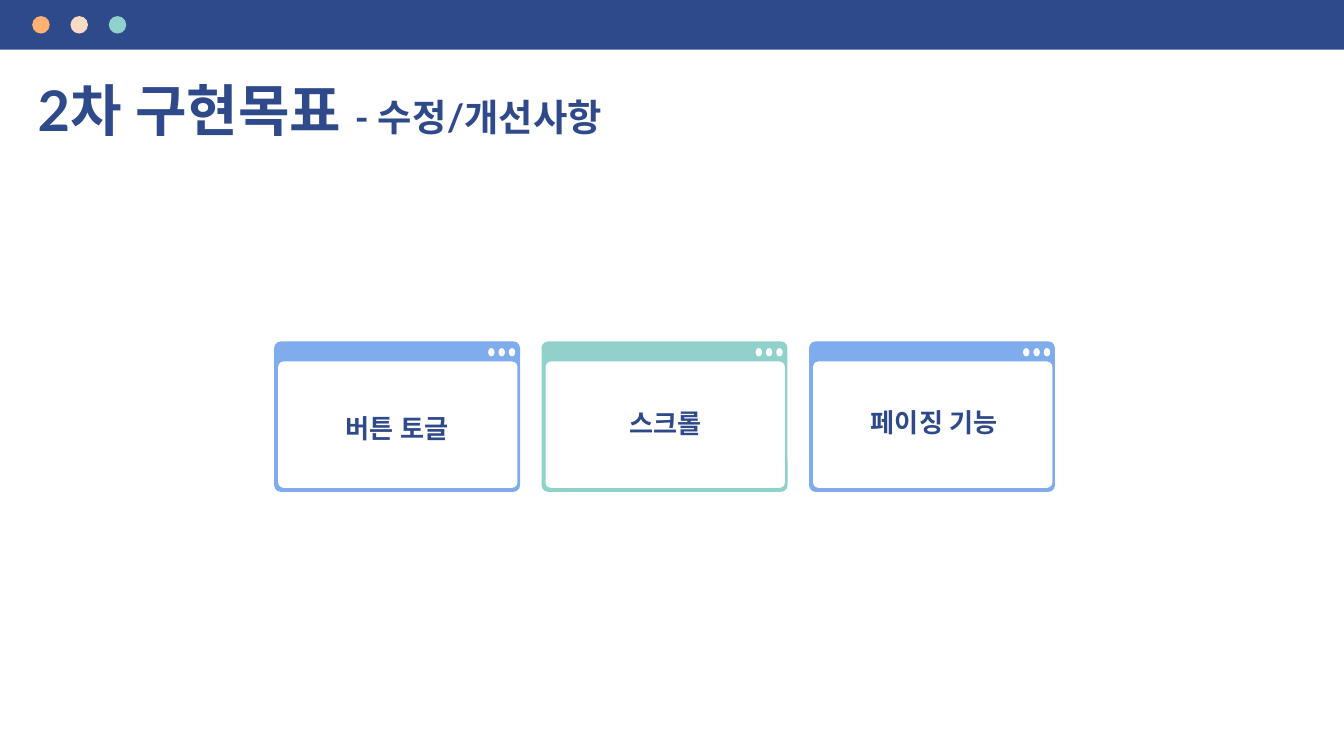
from collections import namedtuple

from lxml.etree import SubElement
from pptx import Presentation
from pptx.dml.color import RGBColor
from pptx.enum.shapes import MSO_SHAPE as Shape
from pptx.enum.text import MSO_ANCHOR as Anchor, MSO_AUTO_SIZE as AutoSize, PP_ALIGN as Align
from pptx.oxml.ns import qn
from pptx.util import Inches, Pt

Box = namedtuple("Box", "left top width height")

COLORS = {
    "navy": "2F4A8A",
    "orange": "FFB172",
    "cream": "F8DBC4",
    "mint": "90D1CB",
    "blue": "7EACEC",
    "white": "FFFFFF",
}
FONT = "Lato"
SLIDE = Box(0, 0, 10, 10 * 9 / 16)
WINDOWS = Box(2.04, 2.54, 5.81, 1.12)
WINDOW_WIDTH = 1.83
CARDS = [
    ("버튼 토글", "blue", Box(0, 0.38, 1, 0.46)),
    ("스크롤", "mint", Box(0.06, 0.35, 0.89, 0.46)),
    ("페이징 기능", "blue", Box(0.01, 0.34, 1, 0.46)),
]


def within(box, left, top, width, height):
    return Box(
        box.left + left * box.width,
        box.top + top * box.height,
        width * box.width,
        height * box.height,
    )


def lengths(box):
    return [Inches(value) for value in box]


def add_filled(shapes, kind, box, color, radius=None):
    filled = shapes.add_shape(kind, *lengths(box))
    filled.shadow.inherit = False
    filled.fill.solid()
    filled.fill.fore_color.rgb = RGBColor.from_string(COLORS[color])
    filled.line.fill.background()
    if radius is not None:
        filled.adjustments[0] = radius / min(box.width, box.height)


def add_run(paragraph, text, size, color="navy", bold=True):
    run = paragraph.add_run()
    run.text = text
    run.font.name = FONT
    run.font.size = Pt(size)
    run.font.bold = bold
    run.font.color.rgb = RGBColor.from_string(COLORS[color])
    SubElement(run.font._element, qn("a:ea"), typeface=FONT)


def write_text(holder, runs, align=Align.LEFT):
    frame = holder.text_frame
    frame.word_wrap = True
    frame.auto_size = AutoSize.NONE
    frame.vertical_anchor = Anchor.TOP
    frame.margin_left = frame.margin_right = Inches(0.1)
    frame.margin_top = frame.margin_bottom = Inches(0.1)
    paragraph = frame.paragraphs[0]
    paragraph.alignment = align
    for text, size in runs:
        add_run(paragraph, text, size)


def draw_top_bar(slide, box):
    bar = slide.shapes.add_group_shape()
    add_filled(bar.shapes, Shape.RECTANGLE, box, "navy")
    diameter = 0.13
    for column, color in enumerate(("orange", "cream", "mint")):
        dot = Box(box.left + 0.24 + column * 0.285, box.top + 0.12, diameter, diameter)
        add_filled(bar.shapes, Shape.OVAL, dot, color)


def draw_heading(slide, box):
    heading = slide.shapes.title
    heading.left, heading.top, heading.width, heading.height = lengths(box)
    write_text(heading, [("2차 구현목표 ", 30), ("- 수정/개선사항", 20)])


def draw_window(slide, box, label, color, label_share):
    window = slide.shapes.add_group_shape()
    add_filled(window.shapes, Shape.ROUNDED_RECTANGLE, box, color, 0.05)
    pane = Box(box.left + 0.03, box.top + 0.15, box.width - 0.05, box.height - 0.18)
    add_filled(window.shapes, Shape.ROUNDED_RECTANGLE, pane, "white", 0.04)
    for column in range(3):
        button = within(box, 0.87 + column * 0.042, 0.045, 0.026, 0.055)
        add_filled(window.shapes, Shape.OVAL, button, "white")
    caption = slide.shapes.add_textbox(*lengths(within(box, *label_share)))
    write_text(caption, [(label, 14)], align=Align.CENTER)


def draw_windows(slide, box):
    pitch = (box.width - WINDOW_WIDTH) / (len(CARDS) - 1)
    for column, card in enumerate(CARDS):
        frame = Box(box.left + column * pitch, box.top, WINDOW_WIDTH, box.height)
        draw_window(slide, frame, *card)


def main():
    deck = Presentation()
    deck.slide_width, deck.slide_height = Inches(SLIDE.width), Inches(SLIDE.height)
    slide = deck.slides.add_slide(deck.slide_layouts[5])
    draw_top_bar(slide, Box(0, 0, SLIDE.width, 0.37))
    draw_heading(slide, Box(0.18, 0.46, 8.44, 0.51))
    draw_windows(slide, WINDOWS)
    deck.save("out.pptx")


if __name__ == "__main__":
    main()
